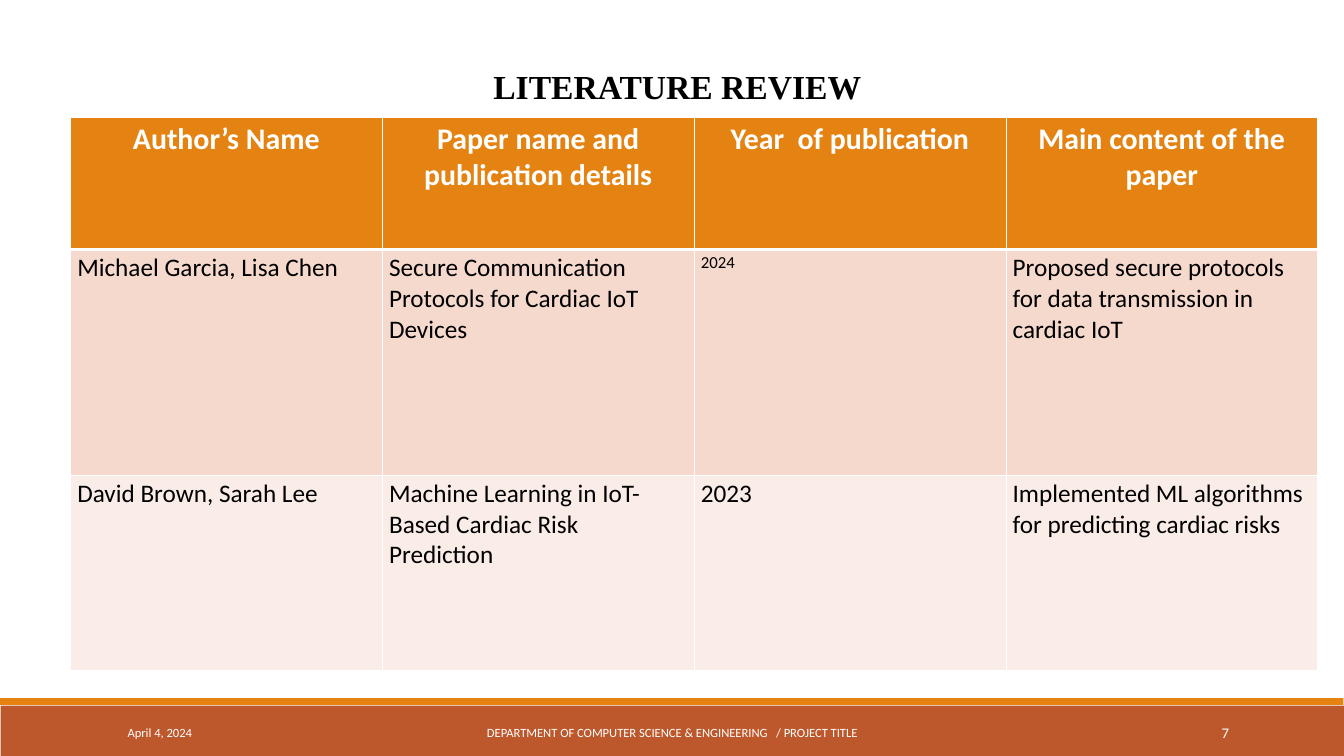
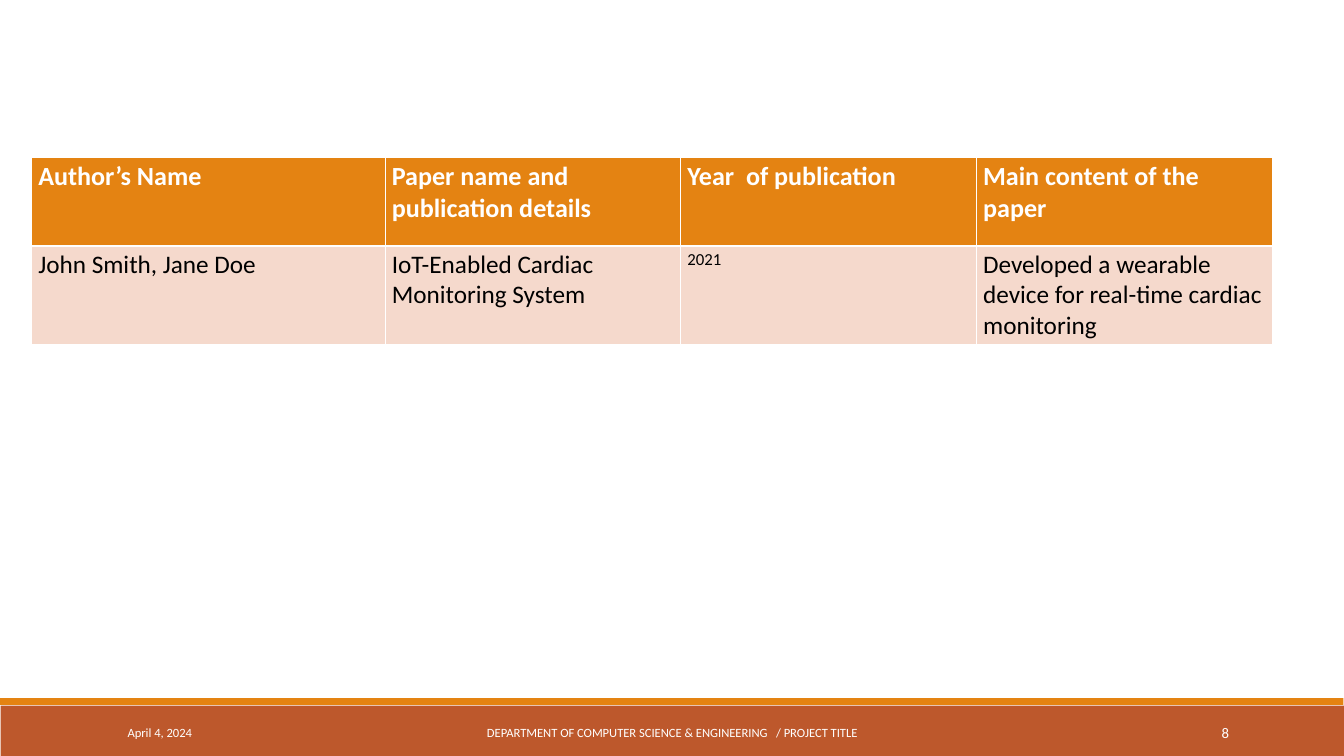
from dataclasses import dataclass

from lxml.etree import SubElement
from pptx import Presentation
from pptx.dml.color import RGBColor
from pptx.enum.shapes import MSO_SHAPE
from pptx.enum.text import MSO_ANCHOR, MSO_AUTO_SIZE, PP_ALIGN
from pptx.oxml.ns import qn
from pptx.slide import Slide
from pptx.table import _Cell
from pptx.text.text import TextFrame
from pptx.util import Emu, Pt

# Shared look
EMU_PER_PX = 9144
SLIDE_WIDTH, SLIDE_HEIGHT = 2000, 1125
ORANGE, RUST, WHITE, BLACK = "E48312", "BD582C", "FFFFFF", "000000"
ROW_TINTS = ("F5D9CC", "FAEDE7")
BODY_FONT, TITLE_FONT = "Calibri", "Times New Roman"
BODY_SIZE, SMALL_SIZE = 27, 18
TITLE_ONLY_LAYOUT, BLANK_LAYOUT = 5, 6


@dataclass(frozen=True)
class Box:
    left: int
    top: int
    width: int
    height: int

    def emu(self) -> tuple[Emu, Emu, Emu, Emu]:
        return px(self.left), px(self.top), px(self.width), px(self.height)


@dataclass(frozen=True)
class TextStyle:
    size: float
    color: str = WHITE
    bold: bool = False
    align: PP_ALIGN = PP_ALIGN.LEFT
    font: str = BODY_FONT


@dataclass(frozen=True)
class Band:
    box: Box
    color: str


@dataclass(frozen=True)
class FooterItem:
    box: Box
    text: str
    style: TextStyle


@dataclass(frozen=True)
class Paper:
    authors: str
    name: str
    year: str
    content: str
    year_size: int = BODY_SIZE


@dataclass(frozen=True)
class ReviewTable:
    left: int
    top: int
    columns: tuple[int, ...]
    rows: tuple[int, ...]
    header_style: TextStyle
    papers: tuple[Paper, ...]


@dataclass(frozen=True)
class ReviewSlide:
    number: int
    title: str
    table: ReviewTable


BANDS = (
    Band(Box(1, 1050, 1999, 75), RUST),
    Band(Box(0, 1039, 1999, 10), ORANGE),
)
FOOTER = (
    FooterItem(Box(180, 1060, 406, 60), "April 4, 2024", TextStyle(13.5)),
    FooterItem(
        Box(605, 1060, 791, 60),
        "DEPARTMENT OF COMPUTER SCIENCE & ENGINEERING   / PROJECT TITLE",
        TextStyle(13.5, align=PP_ALIGN.CENTER),
    ),
)
NUMBER_BOX = Box(1624, 1060, 215, 60)
NUMBER_STYLE = TextStyle(15.8, align=PP_ALIGN.RIGHT)
TITLE_BOX = Box(61, 63, 1844, 90)
TITLE_INDENT = 50
TITLE_STYLE = TextStyle(36, BLACK, True, PP_ALIGN.CENTER, TITLE_FONT)
HEADINGS = (
    "Author’s Name",
    "Paper name and publication details",
    "Year  of publication",
    "Main content of the paper",
)

# Slide content
REVIEW_SLIDES = (
    ReviewSlide(7, "LITERATURE REVIEW", ReviewTable(
        105, 175, (464,) * 4, (196, 336, 290),
        TextStyle(32, bold=True, align=PP_ALIGN.CENTER),
        (
            Paper(
                "Michael Garcia, Lisa Chen",
                "Secure Communication Protocols for Cardiac IoT Devices",
                "2024",
                "Proposed secure protocols for data transmission in cardiac IoT",
                SMALL_SIZE,
            ),
            Paper(
                "David Brown, Sarah Lee",
                "Machine Learning in IoT-Based Cardiac Risk Prediction",
                "2023",
                "Implemented ML algorithms for predicting cardiac risks",
            ),
        ),
    )),
    ReviewSlide(8, "", ReviewTable(
        47, 234, (526, 440, 440, 440), (132, 146),
        TextStyle(28, bold=True),
        (
            Paper(
                "John Smith, Jane Doe",
                "IoT-Enabled Cardiac Monitoring System",
                "2021",
                "Developed a wearable device for real-time cardiac monitoring",
                SMALL_SIZE,
            ),
        ),
    )),
)


def px(length: int) -> Emu:
    return Emu(length * EMU_PER_PX)


def rgb(color: str) -> RGBColor:
    return RGBColor.from_string(color)


def write_text(frame: TextFrame, text: str, style: TextStyle) -> None:
    frame.word_wrap = True
    paragraph = frame.paragraphs[0]
    paragraph.alignment = style.align
    run = paragraph.add_run()
    run.text = text
    run.font.name = style.font
    run.font.size = Pt(style.size)
    run.font.bold = style.bold
    run.font.color.rgb = rgb(style.color)


def add_band(slide: Slide, band: Band) -> None:
    shape = slide.shapes.add_shape(MSO_SHAPE.RECTANGLE, *band.box.emu())
    shape.shadow.inherit = False
    shape.fill.solid()
    shape.fill.fore_color.rgb = rgb(band.color)
    shape.line.fill.background()


def add_footer_item(slide: Slide, item: FooterItem) -> None:
    frame = slide.shapes.add_textbox(*item.box.emu()).text_frame
    frame.vertical_anchor = MSO_ANCHOR.MIDDLE
    write_text(frame, item.text, item.style)


def add_footer(slide: Slide, number: int) -> None:
    for band in BANDS:
        add_band(slide, band)
    for item in (*FOOTER, FooterItem(NUMBER_BOX, str(number), NUMBER_STYLE)):
        add_footer_item(slide, item)


def format_title(slide: Slide, text: str) -> None:
    title = slide.shapes.title
    title.left, title.top, title.width, title.height = TITLE_BOX.emu()
    frame = title.text_frame
    frame.vertical_anchor = MSO_ANCHOR.TOP
    frame.auto_size = MSO_AUTO_SIZE.SHAPE_TO_FIT_TEXT
    write_text(frame, text, TITLE_STYLE)
    paragraph = frame.paragraphs[0]
    paragraph.line_spacing = 1.5
    paragraph._p.get_or_add_pPr().set("marL", str(px(TITLE_INDENT)))


def add_borders(cell: _Cell, widths: dict[str, int]) -> None:
    properties = cell._tc.get_or_add_tcPr()
    for side, width in widths.items():
        line = SubElement(properties, qn(f"a:ln{side}"), w=str(Pt(width)))
        fill = SubElement(line, qn("a:solidFill"))
        SubElement(fill, qn("a:srgbClr"), val=WHITE)


def fill_cell(cell: _Cell, text: str, style: TextStyle, color: str,
              borders: dict[str, int]) -> None:
    add_borders(cell, borders)
    cell.fill.solid()
    cell.fill.fore_color.rgb = rgb(color)
    write_text(cell.text_frame, text, style)


def add_review_table(slide: Slide, review: ReviewTable) -> None:
    box = Box(review.left, review.top, sum(review.columns), sum(review.rows))
    table = slide.shapes.add_table(
        len(review.rows), len(review.columns), *box.emu()).table
    for column, width in zip(table.columns, review.columns):
        column.width = px(width)
    for row, height in zip(table.rows, review.rows):
        row.height = px(height)

    # Heading row, with a heavier rule below
    for column, heading in enumerate(HEADINGS):
        fill_cell(table.cell(0, column), heading, review.header_style, ORANGE,
                  {"L": 1, "R": 1, "T": 1, "B": 3})

    # One row for each paper, in alternating tints
    for row, paper in enumerate(review.papers, start=1):
        tint = ROW_TINTS[(row - 1) % len(ROW_TINTS)]
        entries = (
            (paper.authors, BODY_SIZE),
            (paper.name, BODY_SIZE),
            (paper.year, paper.year_size),
            (paper.content, BODY_SIZE),
        )
        for column, (text, size) in enumerate(entries):
            fill_cell(table.cell(row, column), text, TextStyle(size, BLACK),
                      tint, {"L": 1, "R": 1, "B": 1})


def main() -> None:
    presentation = Presentation()
    presentation.slide_width = px(SLIDE_WIDTH)
    presentation.slide_height = px(SLIDE_HEIGHT)
    for review in REVIEW_SLIDES:
        layout = TITLE_ONLY_LAYOUT if review.title else BLANK_LAYOUT
        slide = presentation.slides.add_slide(presentation.slide_layouts[layout])
        add_footer(slide, review.number)
        if review.title:
            format_title(slide, review.title)
        add_review_table(slide, review.table)
    presentation.save("out.pptx")


if __name__ == "__main__":
    main()
